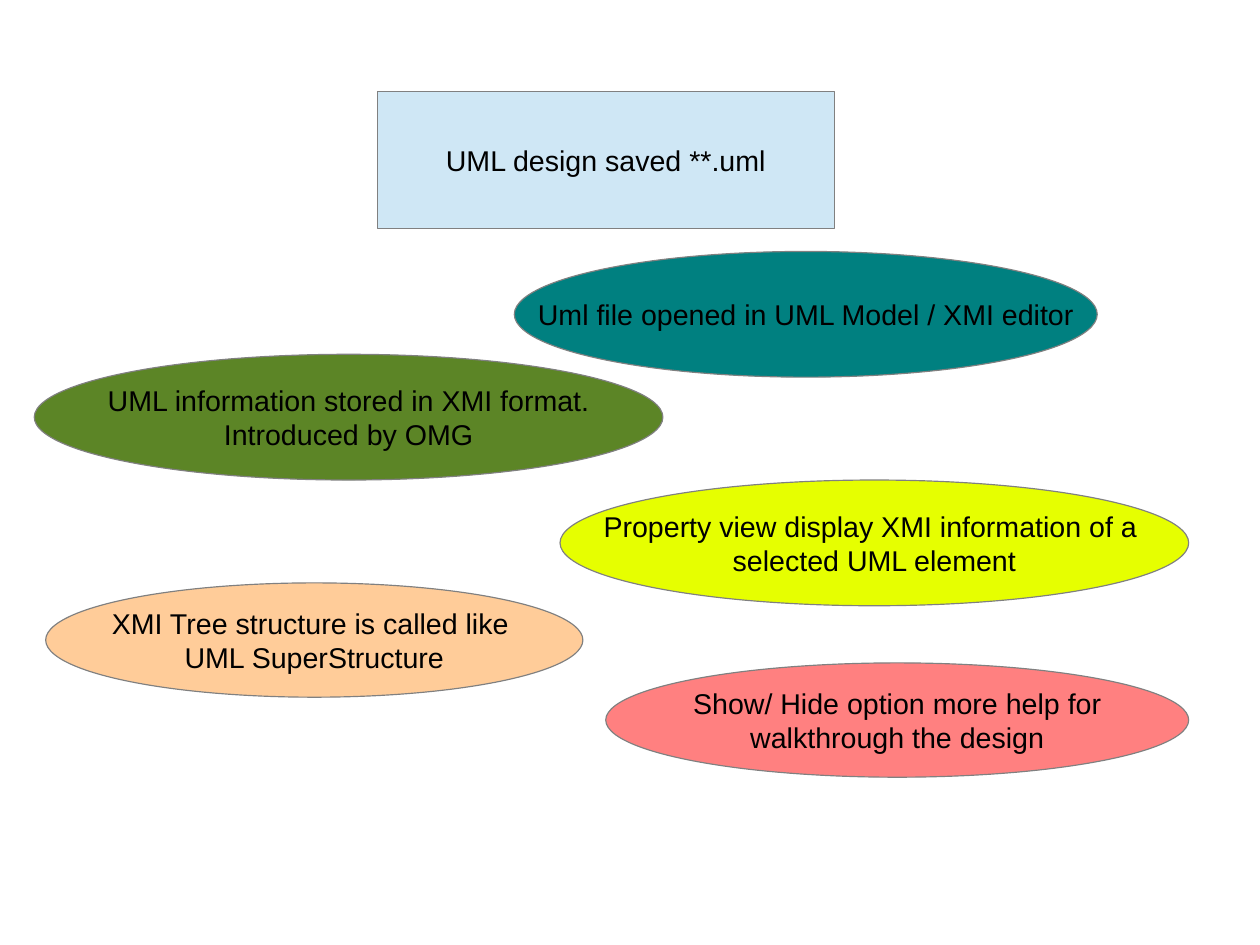
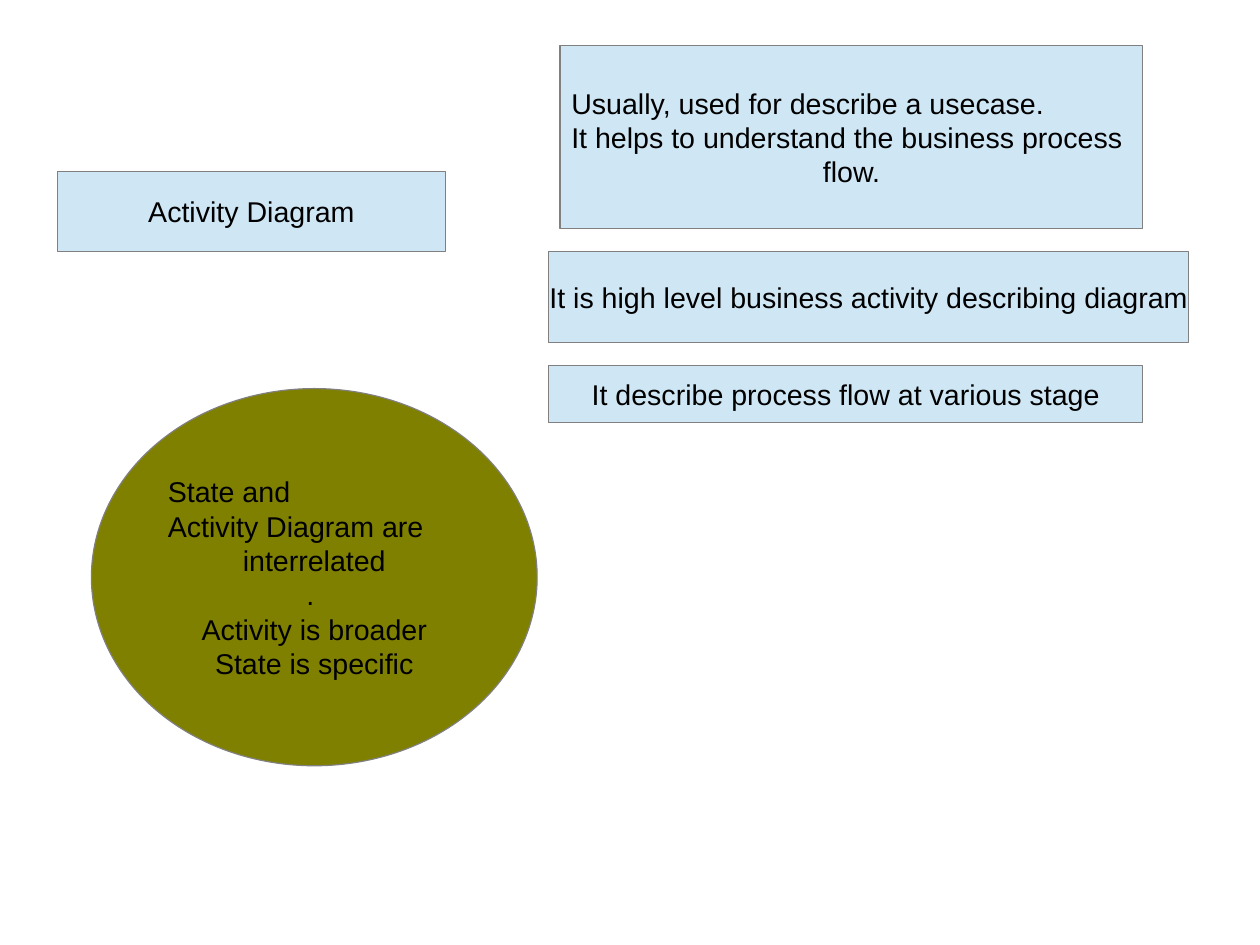
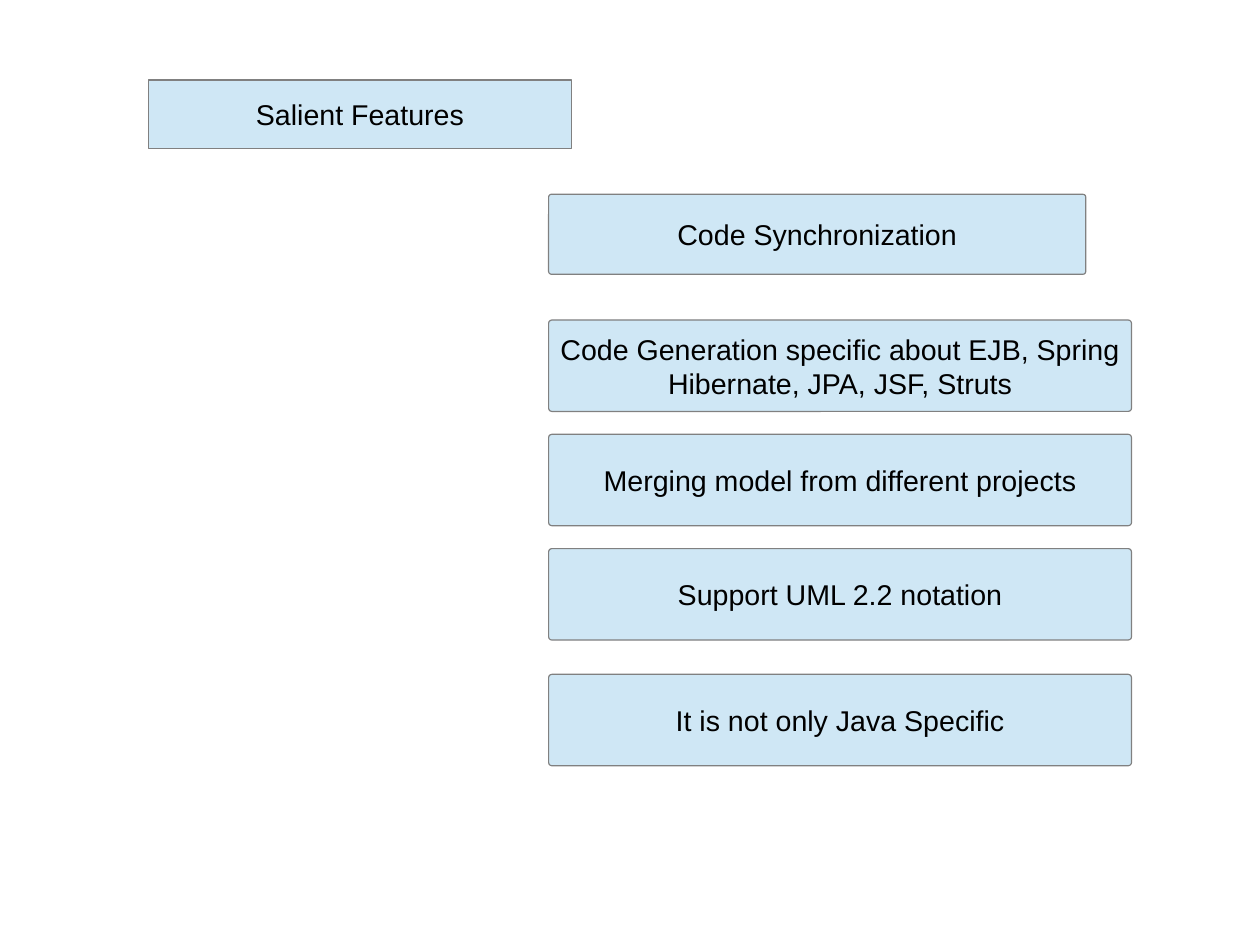
from pptx import Presentation
from pptx.dml.color import RGBColor
from pptx.enum.shapes import MSO_SHAPE as Kind
from pptx.enum.text import MSO_ANCHOR as Anchor, PP_ALIGN as Align
from pptx.util import Pt

GRID = 7.2  # points per grid step
PALE_BLUE = "CFE7F5"


def color(value):
    return RGBColor.from_string(value)


def steps(count):
    return Pt(count * GRID)


class Deck:
    """Holds the shared style and the slide being filled."""

    font_name = "Arial"
    font_size = 18
    text_color = "000000"
    line_color = "808080"
    line_width = 0.75
    corner = 0.036

    def __init__(self, width, height):
        self.presentation = Presentation()
        self.presentation.slide_width = Pt(width)
        self.presentation.slide_height = Pt(height)
        self.slide = None

    def new_slide(self):
        self.slide = self.presentation.slides.add_slide(self.presentation.slide_layouts[6])

    def label(self, kind, place, text, fill, left_paragraphs=0):
        """Draw a filled shape; place is left, top, width, height in grid steps."""
        shape = self.slide.shapes.add_shape(kind, *map(steps, place))
        shape.shadow.inherit = False
        shape.fill.solid()
        shape.fill.fore_color.rgb = color(fill)
        shape.line.color.rgb = color(self.line_color)
        shape.line.width = Pt(self.line_width)

        text_frame = shape.text_frame
        text_frame.text = text
        text_frame.vertical_anchor = Anchor.MIDDLE
        # Left-aligned lines start at the inset only when the text wraps
        text_frame.word_wrap = left_paragraphs > 0
        for index, paragraph in enumerate(text_frame.paragraphs):
            paragraph.alignment = Align.LEFT if index < left_paragraphs else Align.CENTER
            for run in paragraph.runs:
                run.font.name = self.font_name
                run.font.size = Pt(self.font_size)
                run.font.color.rgb = color(self.text_color)
        return shape

    def box(self, place, text, left_paragraphs=0):
        self.label(Kind.RECTANGLE, place, text, PALE_BLUE, left_paragraphs)

    def rounded_box(self, place, text):
        shape = self.label(Kind.ROUNDED_RECTANGLE, place, text, PALE_BLUE)
        shape.adjustments[0] = self.corner

    def oval(self, place, text, fill, left_paragraphs=0):
        self.label(Kind.OVAL, place, text, fill, left_paragraphs)

    def save(self):
        self.presentation.save("out.pptx")


def add_xmi_slide(deck):
    deck.new_slide()
    deck.box((33, 8, 40, 12), "UML design saved **.uml")
    ovals = [
        ((45, 22, 51, 11), "Uml file opened in UML Model / XMI editor", "008080"),
        ((3, 31, 55, 11), "UML information stored in XMI format.\vIntroduced by OMG", "5C8526"),
        ((49, 42, 55, 11),
         "Property view display XMI information of a \vselected UML element", "E6FF00"),
        ((4, 51, 47, 10), "XMI Tree structure is called like \vUML SuperStructure", "FFCC99"),
        ((53, 58, 51, 10),
         "Show/ Hide option more help for\vwalkthrough the design", "FF8080"),
    ]
    for place, text, fill in ovals:
        deck.oval(place, text, fill)


def add_activity_slide(deck):
    deck.new_slide()
    deck.box((5, 15, 34, 7), "Activity Diagram")

    # Descriptions
    deck.box((49, 4, 51, 16),
             "Usually, used for describe a usecase.\v"
             "It helps to understand the business process\nflow.",
             left_paragraphs=1)
    deck.box((48, 22, 56, 8), "It is high level business activity describing diagram")
    deck.box((48, 32, 52, 5), "It describe process flow at various stage")

    # Comparison with state diagrams
    deck.oval((8, 34, 39, 33),
              "State and \vActivity Diagram are\ninterrelated\n. \n"
              "Activity is broader\nState is specific",
              "808000", left_paragraphs=1)


def add_features_slide(deck):
    deck.new_slide()
    deck.box((13, 7, 37, 6), "Salient Features")
    features = [
        (17, 47, 7, "Code Synchronization"),
        (28, 51, 8, "Code Generation specific about EJB, Spring\vHibernate, JPA, JSF, Struts"),
        (38, 51, 8, "Merging model from different projects"),
        (48, 51, 8, "Support UML 2.2 notation"),
        (59, 51, 8, "It is not only Java Specific"),
    ]
    for top, width, height, text in features:
        deck.rounded_box((48, top, width, height), text)


def main():
    deck = Deck(793.7, 595.28)
    add_xmi_slide(deck)
    add_activity_slide(deck)
    add_features_slide(deck)
    deck.save()


if __name__ == "__main__":
    main()
